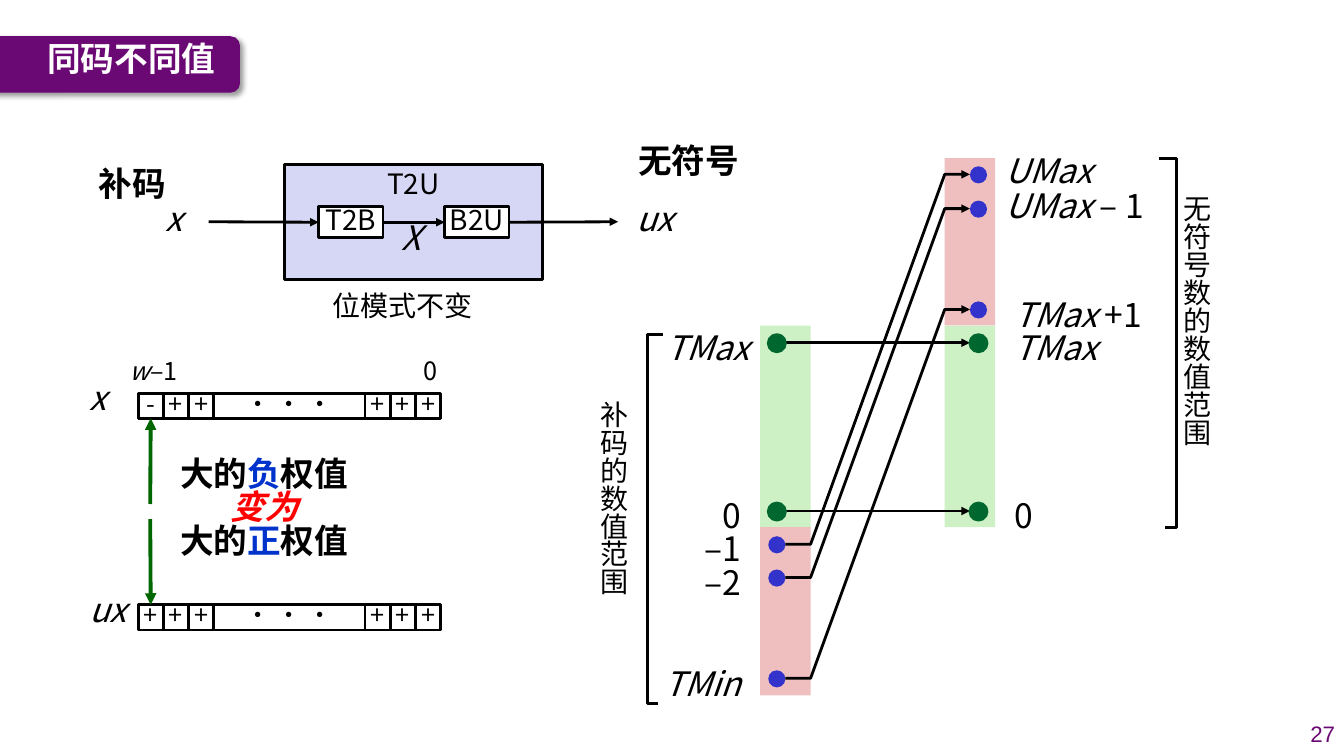
from dataclasses import dataclass

from lxml.etree import SubElement
from pptx import Presentation
from pptx.dml.color import RGBColor
from pptx.enum.shapes import MSO_CONNECTOR, MSO_SHAPE
from pptx.enum.text import MSO_ANCHOR, MSO_AUTO_SIZE, PP_ALIGN
from pptx.oxml.ns import qn
from pptx.util import Pt

PX = 9144
LEFT, CENTER, RIGHT = PP_ALIGN.LEFT, PP_ALIGN.CENTER, PP_ALIGN.RIGHT


@dataclass(frozen=True)
class Theme:
    font: str = "Noto Sans CJK SC"
    number_font: str = "Arial"
    purple: str = "6A0874"
    black: str = "000000"
    white: str = "FFFFFF"
    lavender: str = "D6D6F5"
    mint: str = "CDF1C5"
    pink: str = "EFBFBF"
    blue: str = "3333CC"
    word_blue: str = "0033CC"
    red: str = "FF0000"
    green: str = "00682F"
    arrow_green: str = "006600"
    big: int = 24
    medium: int = 20
    small: int = 18
    number: int = 16
    line: float = 2
    thick: float = 2.75
    spacing: float = 0.83


class Builder:
    def __init__(self, slide, theme):
        self.slide, self.theme = slide, theme
        self.shapes = slide.shapes

    def set_text(self, sp, lines, size, align=LEFT, color=None, bold=False, italic=False,
                 wrap=False, middle=False, insets=(10, 8, 10, 5), font=None):
        tf = sp.text_frame
        tf.auto_size = MSO_AUTO_SIZE.NONE
        tf.word_wrap = wrap
        tf.vertical_anchor = MSO_ANCHOR.MIDDLE if middle else MSO_ANCHOR.TOP
        tf.margin_left, tf.margin_top, tf.margin_right, tf.margin_bottom = [v * PX for v in insets]
        lines = [[(lines, {})]] if isinstance(lines, str) else lines
        for i, runs in enumerate(lines):
            p = tf.add_paragraph() if i else tf.paragraphs[0]
            p.alignment = align
            p.line_spacing = self.theme.spacing
            for text, style in runs:
                r = p.add_run()
                r.text = text
                r.font.size = Pt(size)
                r.font.bold = bold
                r.font.italic = style.get("italic", italic)
                r.font.name = font or self.theme.font
                r.font.color.rgb = RGBColor.from_string(style.get("color", color or self.theme.black))
                SubElement(r._r.get_or_add_rPr(), qn("a:ea"), typeface=font or self.theme.font)

    def title(self, text, left, top, width, height):
        sp = self.slide.shapes.title
        sp.left, sp.top, sp.width, sp.height = [v * PX for v in (left, top, width, height)]
        self.set_text(sp, text, self.theme.big, color=self.theme.white, bold=True)
        return sp

    def label(self, text, left, top, width, height=50, size=None, **style):
        sp = self.shapes.add_textbox(left * PX, top * PX, width * PX, height * PX)
        self.set_text(sp, text, size or self.theme.big, **style)

    def stroke(self, sp, color=None, width=None, head=False):
        sp.line.color.rgb = RGBColor.from_string(color or self.theme.black)
        sp.line.width = Pt(width or self.theme.line)
        if head:
            SubElement(sp.line._get_or_add_ln(), qn("a:tailEnd"), type="triangle")

    def shape(self, kind, left, top, width, height, fill, line=None, parent=None):
        sp = (parent or self.shapes).add_shape(kind, left * PX, top * PX, width * PX, height * PX)
        sp.shadow.inherit = False
        sp.fill.solid()
        sp.fill.fore_color.rgb = RGBColor.from_string(fill)
        if line:
            self.stroke(sp, line)
        else:
            sp.line.fill.background()
        return sp

    def box(self, text, left, top, width, height, size, fill=None, parent=None, **style):
        sp = self.shape(MSO_SHAPE.RECTANGLE, left, top, width, height,
                        fill or self.theme.white, self.theme.black, parent)
        self.set_text(sp, text, size, CENTER, **style)
        return sp

    def shadow(self, sp):
        effects = sp._element.spPr.find(qn("a:effectLst"))
        outer = SubElement(effects, qn("a:outerShdw"), blurRad=str(Pt(4)), dist=str(Pt(3)),
                           dir="2700000", algn="tl", rotWithShape="0")
        color = SubElement(outer, qn("a:srgbClr"), val=self.theme.black)
        SubElement(color, qn("a:alpha"), val="40000")

    def arrow(self, x1, y1, x2, y2, begin=None, end=None, color=None, width=None):
        cx = self.shapes.add_connector(MSO_CONNECTOR.STRAIGHT, x1 * PX, y1 * PX, x2 * PX, y2 * PX)
        if begin:
            cx.begin_connect(*begin)
        if end:
            cx.end_connect(*end)
        self.stroke(cx, color, width, head=True)
        SubElement(cx._element.spPr, qn("a:effectLst"))

    def polyline(self, points, head=False):
        builder = self.shapes.build_freeform(*points[0], scale=PX)
        builder.add_line_segments(points[1:], close=False)
        sp = builder.convert_to_shape()
        sp.shadow.inherit = False
        sp.fill.background()
        self.stroke(sp, head=head)

    def dot(self, x, y, color, line=None):
        self.shape(MSO_SHAPE.OVAL, x, y - 8, 17, 17, color, line)

    def bits(self, sign, top):
        group = self.shapes.add_group_shape().shapes
        cells = [(137 + 25 * i, 25, "+" if i else sign) for i in range(3)]
        cells += [(362 + 25 * i, 25, "+") for i in range(3)]
        cells.append((212, 150, "• • •"))
        drawn = [self.box(text, left, top, width, 25, self.theme.small, parent=group,
                          middle=True, insets=(0, 0, 0, 0)) for left, width, text in cells]
        return drawn[0]


def row(n):
    return round(173.4 + n * 100 / 3)


def draw_header(s, t):
    title = s.title("同码不同值", 37, 36, 201, 55)
    banner = s.shape(MSO_SHAPE.ROUNDED_RECTANGLE, -81, 36, 319, 56, t.purple)
    s.shadow(banner)
    title._element.addprevious(banner._element)
    s.label("27", 1279, 710, 55, 40, t.number, align=RIGHT, color=t.purple,
            middle=True, insets=(10, 5, 10, 5), wrap=True, font=t.number_font)


def draw_weights(s, t):
    unsigned_sign = s.bits("+", 600)
    signed_sign = s.bits("-", 390)
    s.label("ux", 79, 583, 58, italic=True)
    s.label("x", 79, 373, 37, italic=True)
    s.label([[("w", {"italic": True}), ("–1", {})]], 119, 350, 69, 40, t.small)
    s.label("0", 410, 350, 35, 40, t.small)
    s.arrow(149, 500, 149, 415, end=(signed_sign, 2), color=t.arrow_green, width=t.thick)
    s.arrow(149, 515, 149, 600, end=(unsigned_sign, 0), color=t.arrow_green, width=t.thick)
    blue = {"color": t.word_blue}
    s.label([[("大的", {}), ("负", blue), ("权值", {})],
             [("变为", {"color": t.red, "italic": True})],
             [("大的", {}), ("正", blue), ("权值", {})]],
            162, 448, 200, 131, align=CENTER, bold=True, wrap=True, insets=(5, 8, 5, 5))


def draw_conversion(s, t):
    s.box("T2U", 282, 163, 256, 114, t.medium, t.lavender)
    t2b, b2u = [s.box(text, left, 205, 64, 31, t.medium, middle=True, insets=(0, 0, 0, 0))
                for text, left in (("T2B", 316), ("B2U", 441))]
    s.arrow(207, 220, 316, 220, end=(t2b, 1))
    s.arrow(505, 220, 613, 220, begin=(b2u, 3))
    s.arrow(380, 220, 441, 220, begin=(t2b, 3), end=(b2u, 1))
    s.label("补码", 88, 160, 87, bold=True)
    s.label("无符号", 623, 138, 121, bold=True)
    s.label("位模式不变", 319, 284, 160, 43, t.medium, align=CENTER)
    for text, left, top, width in (("x", 154, 195, 37), ("ux", 621, 195, 58), ("X", 388, 214, 42)):
        s.label(text, left, top, width, italic=True)


def draw_ranges(s, t):
    for left, top, height, color in ((937, 323, 200, t.mint), (754, 323, 200, t.mint),
                                     (754, 523, 167, t.pink), (937, 157, 166, t.pink)):
        s.shape(MSO_SHAPE.RECTANGLE, left, top, 50, height, color)
    for n in (5, 10):
        s.arrow(779, row(n), 962, row(n))
        for x in (762, 962):
            s.dot(x, row(n), t.green, t.green)
    for start, end in ((11, 0), (12, 1), (15, 4)):
        s.dot(762, row(start), t.blue)
        s.dot(962, row(end), t.blue)
        s.polyline([(779, row(start)), (804, row(start)), (937, row(end)), (962, row(end))], head=True)
    for text, n, left, width, italic in (("TMax", 5, 645, 108, True), ("0", 10, 662, 83, False),
                                         ("–1", 11, 662, 83, False), ("–2", 12, 662, 83, False),
                                         ("TMin", 15, 643, 102, True)):
        s.label(text, left, row(n) - 17, width, align=RIGHT, italic=italic, wrap=True)
    slanted = {"italic": True}
    for runs, left, top, width in (([("UMax", slanted)], 987, row(0) - 25, 125),
                                   ([("UMax", slanted), (" – 1", {})], 987, row(1) - 25, 191),
                                   ([("TMax ", slanted), ("+1", {})], 996, row(4) - 17, 208),
                                   ([("TMax", slanted)], 996, row(5) - 17, 108),
                                   ([("0", {})], 996, row(10) - 17, 83)):
        s.label([runs], left, top, width, wrap=True)
    s.polyline([(653, 698), (642, 698), (642, 332), (658, 332)])
    s.polyline([(1156, 523), (1167, 523), (1167, 157), (1150, 157)])
    s.label("补码的数值范围", 585, 392, 48, 246, t.medium, align=RIGHT, wrap=True)
    s.label("无符号数的数值范围", 1164, 188, 69, 313, t.medium, wrap=True)


def main():
    prs = Presentation()
    prs.slide_width, prs.slide_height = 1333 * PX, 750 * PX
    theme = Theme()
    s = Builder(prs.slides.add_slide(prs.slide_layouts[5]), theme)
    for draw in (draw_header, draw_weights, draw_conversion, draw_ranges):
        draw(s, theme)
    prs.save("out.pptx")


if __name__ == "__main__":
    main()
